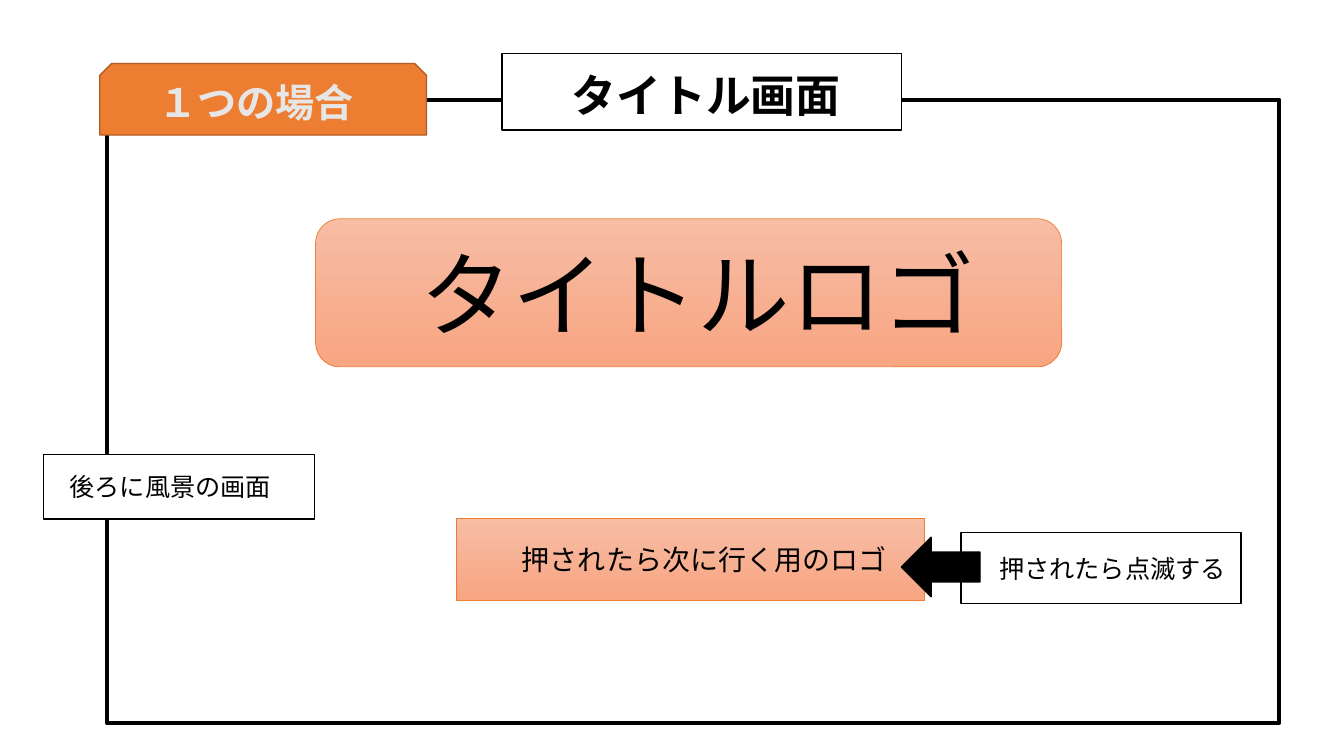
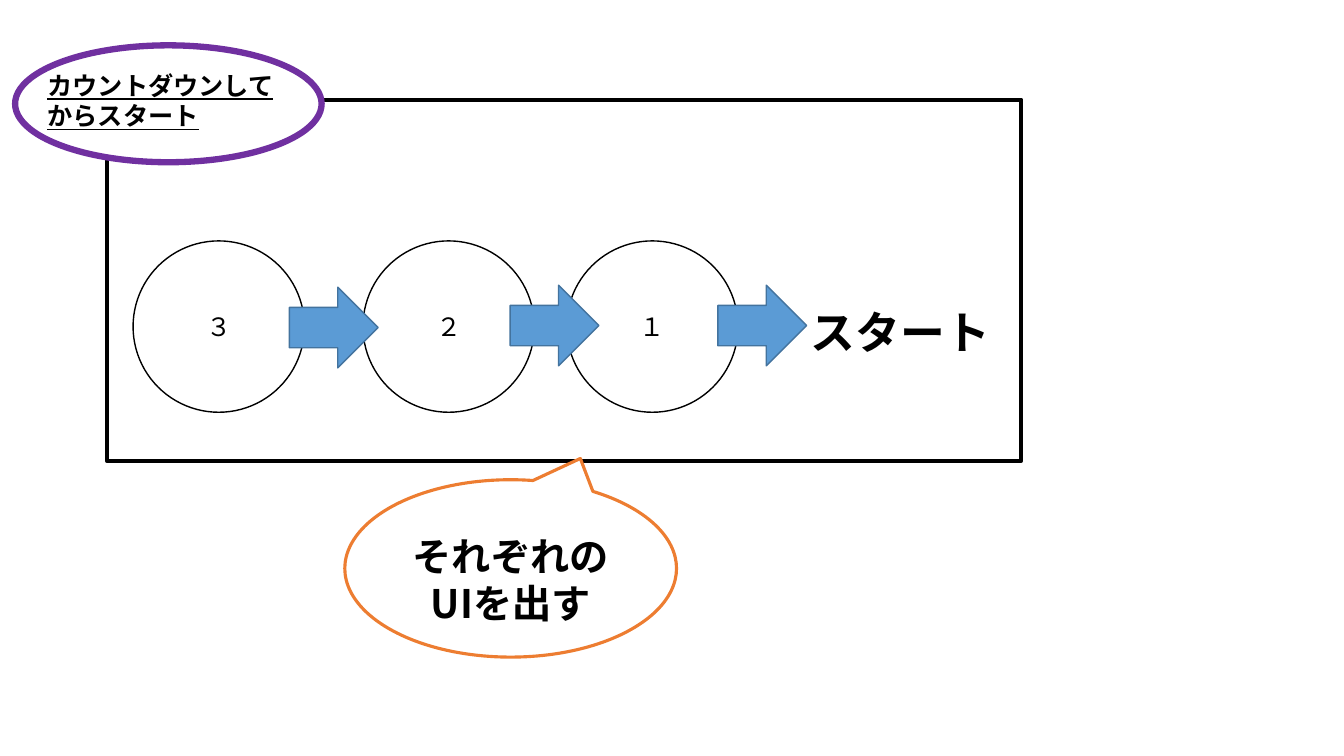
from lxml.etree import SubElement
from pptx import Presentation
from pptx.dml.color import RGBColor
from pptx.enum.shapes import MSO_SHAPE
from pptx.enum.text import MSO_ANCHOR, MSO_AUTO_SIZE, PP_ALIGN
from pptx.oxml.ns import qn
from pptx.util import Inches, Pt

FONT = "Noto Sans CJK JP"
BLACK, WHITE, ORANGE = "000000", "FFFFFF", "ED7D31"
PEACH = ("F7BDA5", "F8A582")
BLUE, BLUE_EDGE = "5B9BD5", "43739E"


def colour(value):
    return RGBColor.from_string(value)


def paint(shape, fill, line, weight):
    """Fill with one colour, a top-to-bottom pair or nothing, and outline."""
    if fill is None:
        shape.fill.background()
    elif isinstance(fill, tuple):
        shape.fill.gradient()
        shape.fill.gradient_angle = 270
        for stop, value in zip(shape.fill.gradient_stops, fill):
            stop.color.rgb = colour(value)
    else:
        shape.fill.solid()
        shape.fill.fore_color.rgb = colour(fill)
    shape.line.color.rgb = colour(line)
    shape.line.width = Pt(weight)


def write(box, text, size, color=BLACK, bold=False, underline=False,
          align=PP_ALIGN.CENTER, left=0.1, right=0.1, top=0.05, bottom=0.05):
    frame = box.text_frame
    frame.word_wrap = True
    frame.auto_size = MSO_AUTO_SIZE.NONE
    frame.vertical_anchor = MSO_ANCHOR.MIDDLE
    frame.margin_left, frame.margin_right = Inches(left), Inches(right)
    frame.margin_top, frame.margin_bottom = Inches(top), Inches(bottom)
    frame.text = text
    para = frame.paragraphs[0]
    para.alignment = align
    font = para.font
    font.name, font.size = FONT, Pt(size)
    font.bold, font.underline = bold, underline
    font.color.rgb = colour(color)
    defaults = para._p.pPr.find(qn("a:defRPr"))
    SubElement(defaults, qn("a:ea")).set("typeface", FONT)


def place(box, left, top, width, height):
    box.left, box.top = Inches(left), Inches(top)
    box.width, box.height = Inches(width), Inches(height)


def add_shape(page, kind, at, fill=WHITE, line=BLACK, weight=1):
    shape = page.shapes.add_shape(kind, *map(Inches, at))
    shape.shadow.inherit = False
    paint(shape, fill, line, weight)
    return shape


def add_screen(page, width, height):
    """Heavy outline of the game screen, at the same corner on every page."""
    add_shape(page, MSO_SHAPE.RECTANGLE, (1.06, 0.99, width, height), weight=3)


def set_title(page, at, text, size, **style):
    """Place the title placeholder in front of the shapes drawn so far."""
    title = page.shapes.title
    place(title, *at)
    write(title, text, size, bold=True, **style)
    page.shapes._spTree.append(title._element)
    return title


def add_note(page, at, text, left):
    note = add_shape(page, MSO_SHAPE.RECTANGLE, at)
    write(note, text, 18, align=PP_ALIGN.LEFT, left=left)


def add_start_button(page, left, top):
    button = add_shape(page, MSO_SHAPE.RECTANGLE, (left, top, 4.64, 0.82),
                       PEACH, ORANGE, 0.5)
    write(button, "押されたら次に行く用のロゴ", 20, left=0.37)
    add_note(page, (left + 5, top + 0.14, 2.78, 0.71), "押されたら点滅する", 0.38)
    add_shape(page, MSO_SHAPE.LEFT_ARROW, (left + 4.41, top + 0.19, 0.78, 0.59), BLACK)


def add_countdown(page, left, top):
    """Numbered circles, then the arrows between them and the start call."""
    diameter = 1.7
    for number, offset in zip("３２１", (0, 2.28, 4.3)):
        circle = add_shape(page, MSO_SHAPE.OVAL,
                           (left + offset, top, diameter, diameter))
        write(circle, number, 18)
    for across, down in ((1.55, 0.46), (3.74, 0.44), (5.8, 0.44)):
        add_shape(page, MSO_SHAPE.RIGHT_ARROW,
                  (left + across, top + down, 0.88, 0.8), BLUE, BLUE_EDGE)
    start = page.shapes.add_textbox(
        *map(Inches, (left + 5.93, top + 0.58, 3.36, 0.64)))
    write(start, "スタート", 32, bold=True)


def add_callout(page, at, text):
    callout = add_shape(page, MSO_SHAPE.OVAL_CALLOUT, at, line=ORANGE, weight=2.25)
    callout.adjustments[0], callout.adjustments[1] = 0.21, -0.62
    write(callout, text, 28, bold=True, top=0.24, bottom=0.02)


def build_title_screen(page):
    add_screen(page, 11.63, 6.18)
    logo = add_shape(page, MSO_SHAPE.ROUNDED_RECTANGLE, (3.13, 2.17, 7.4, 1.47),
                     PEACH, ORANGE, 0.5)
    write(logo, "タイトルロゴ", 66, left=0.28)
    add_start_button(page, 4.53, 5.14)
    add_note(page, (0.43, 4.51, 2.69, 0.64), "後ろに風景の画面", 0.26)
    tab = add_shape(page, MSO_SHAPE.SNIP_2_SAME_RECTANGLE, (0.99, 0.63, 3.24, 0.71),
                    ORANGE, "AF5C24")
    write(tab, "１つの場合", 28, color="E7E6E6", bold=True, right=0.24)
    title = set_title(page, (4.98, 0.53, 3.96, 0.76), "タイトル画面", 32,
                      align=PP_ALIGN.LEFT, left=0.69, top=0.1)
    paint(title, WHITE, BLACK, 1)


def build_countdown_screen(page):
    add_screen(page, 9.07, 3.58)
    add_shape(page, MSO_SHAPE.OVAL, (0.15, 0.45, 3.04, 1.16),
              line="7030A0", weight=4.5)
    set_title(page, (0.37, 0.64, 2.5, 0.71), "カウントダウンしてからスタート", 18,
              underline=True, align=PP_ALIGN.LEFT)
    add_countdown(page, 1.32, 2.39)
    add_callout(page, (3.42, 4.76, 3.29, 1.76), "それぞれのUIを出す")


def main():
    deck = Presentation()
    deck.slide_width, deck.slide_height = Inches(13.33), Inches(7.5)
    title_only = deck.slide_layouts[5]
    for build in (build_title_screen, build_countdown_screen):
        build(deck.slides.add_slide(title_only))
    deck.save("out.pptx")


if __name__ == "__main__":
    main()
